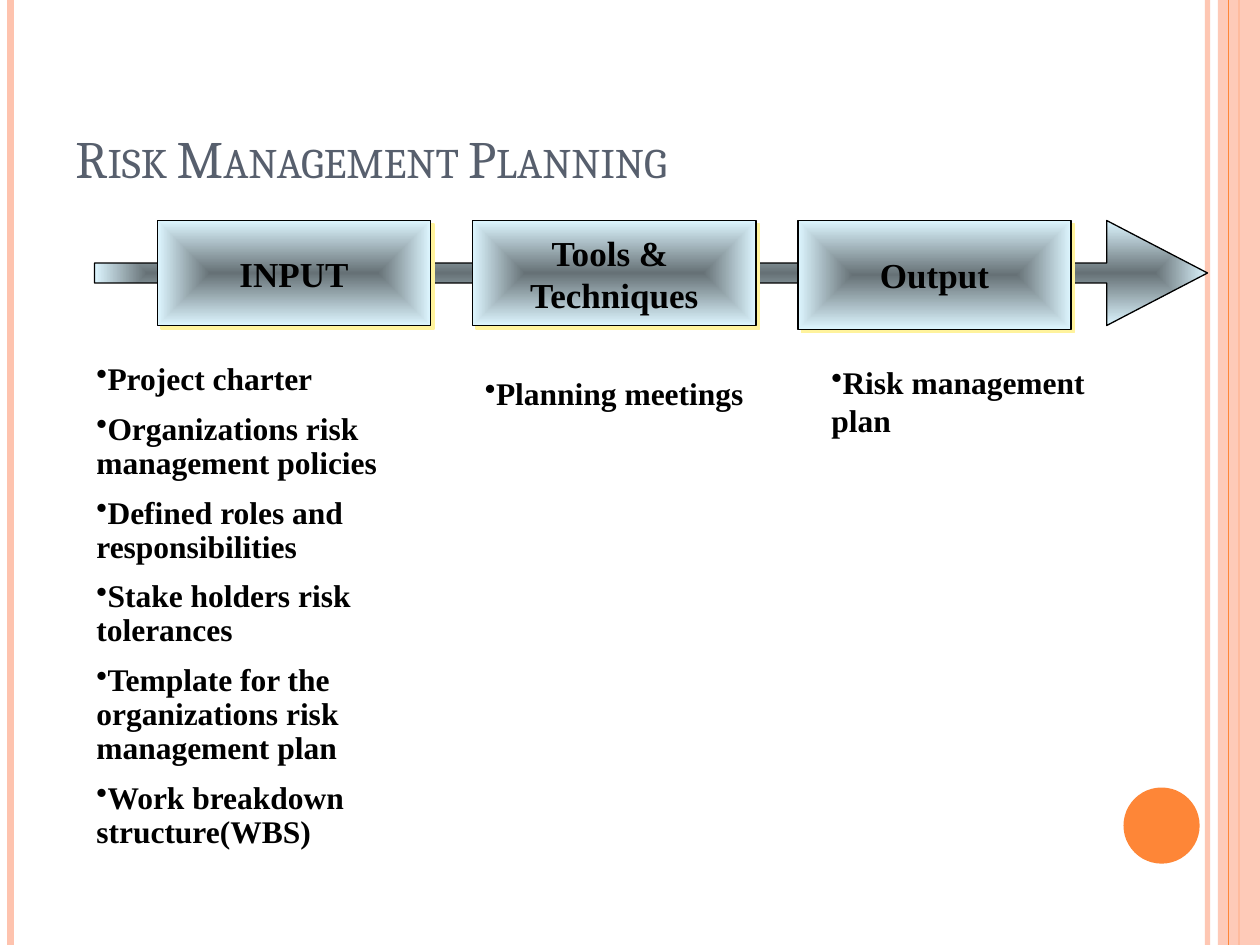
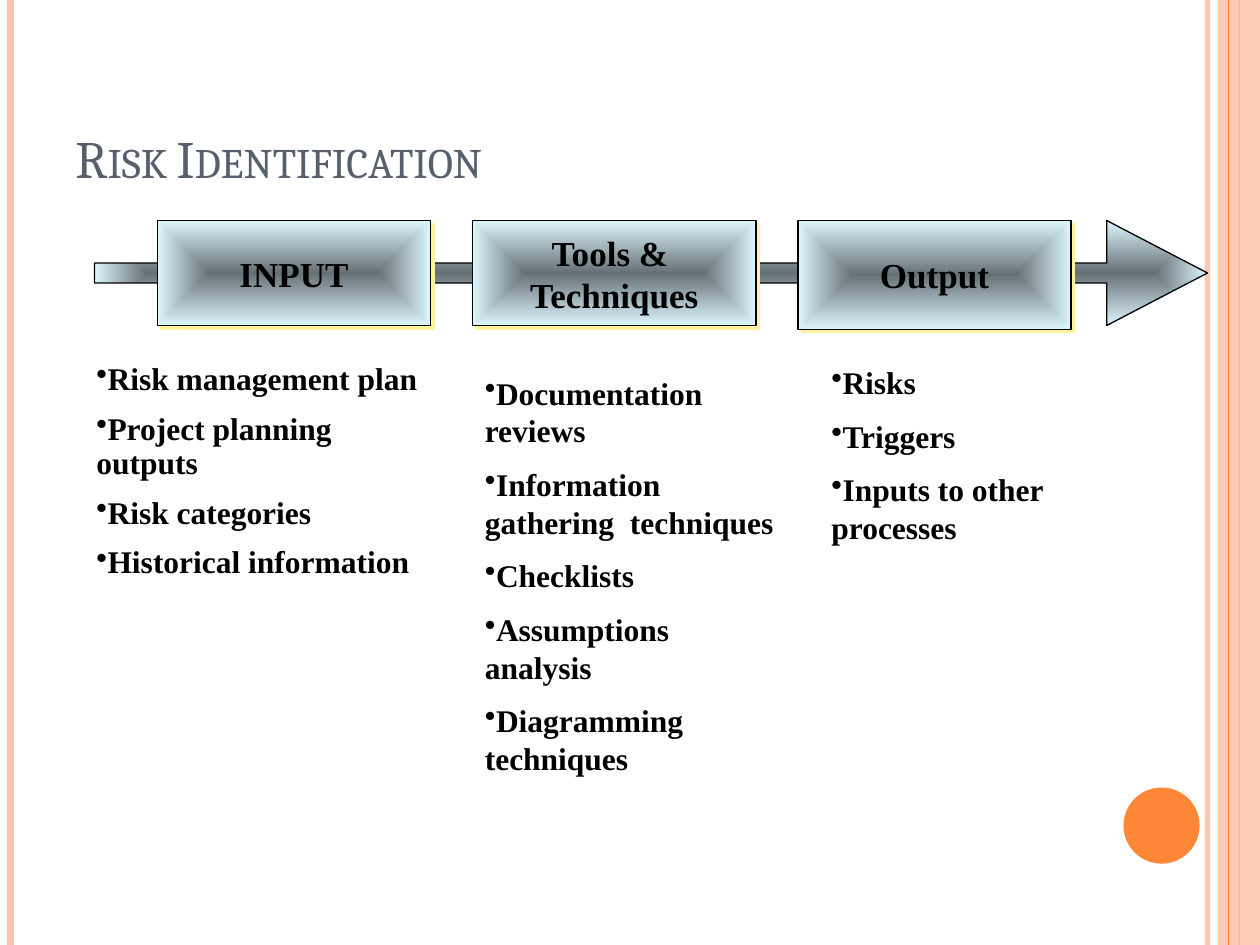
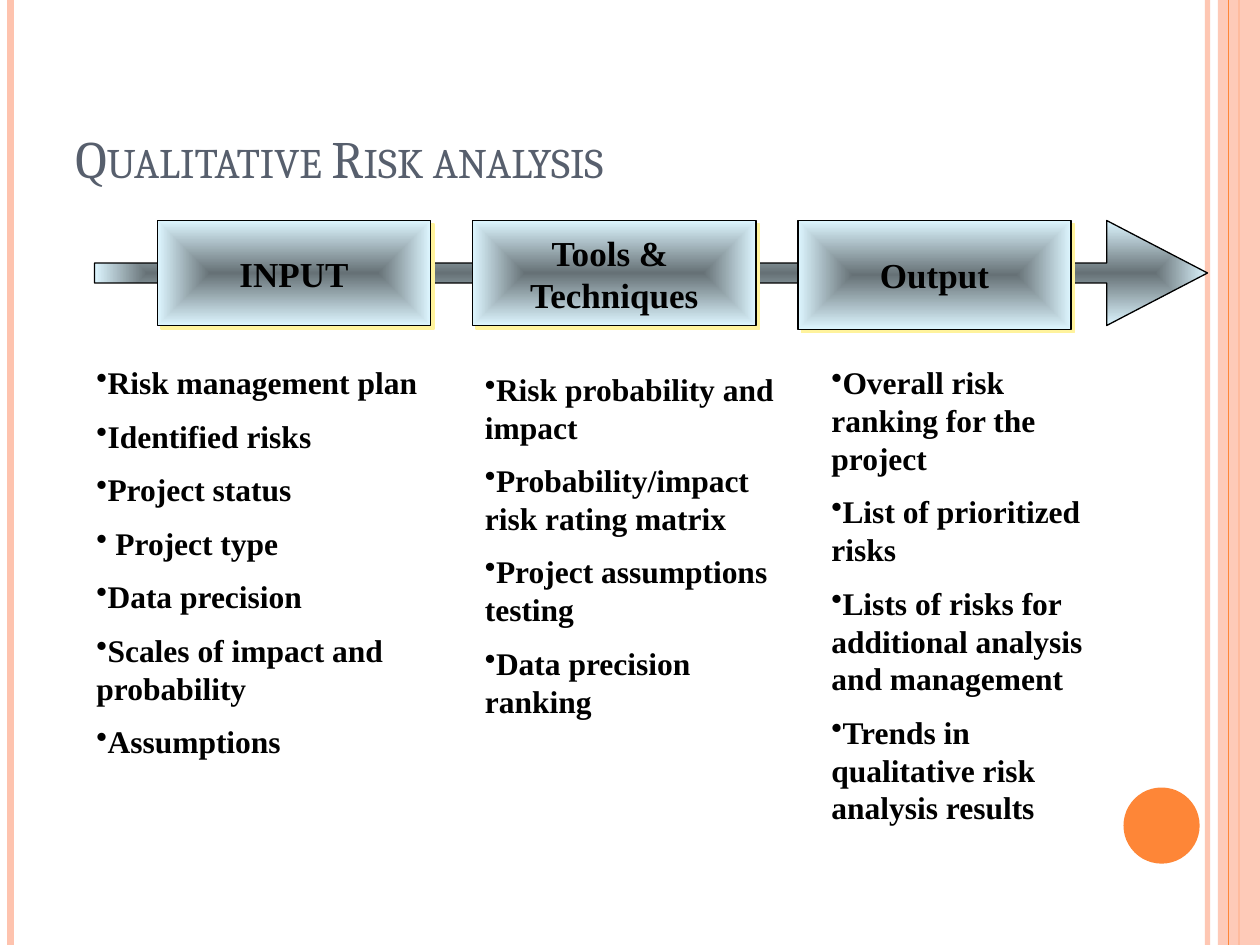
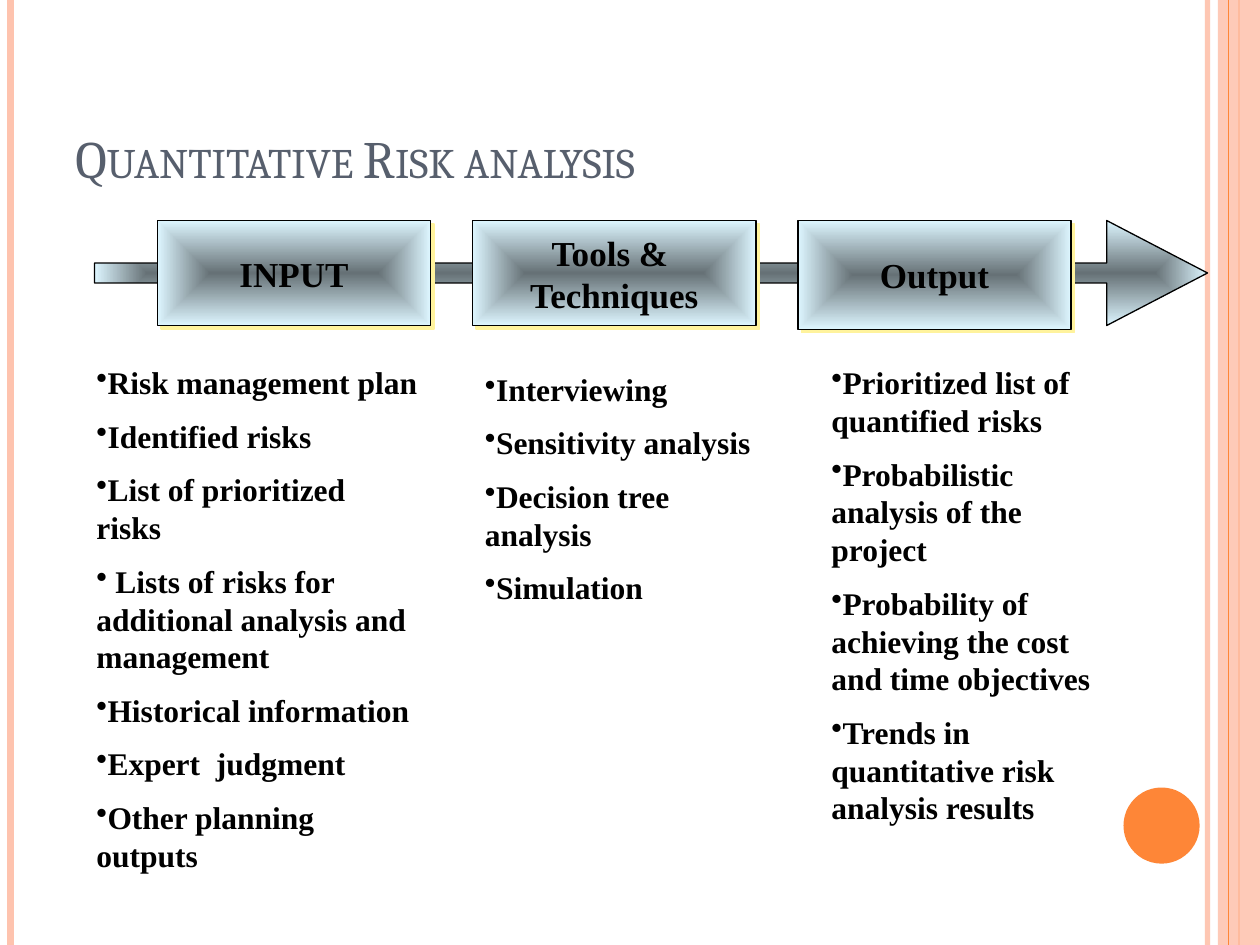
"""Build four risk management slides, each with an input, tools and output flow."""
from lxml import etree
from pptx import Presentation, util as u
from pptx.dml.color import RGBColor
from pptx.enum import shapes, text
from pptx.oxml import ns

PX = 9525
PAGE = (960, 720)
PEACH, ORANGE, SLATE = "FEC3AE", "FE8637", "575F6D"
BLACK, ICE, YELLOW = "000000", "DDF6FF", "FFF39D"
SERIF = "Times New Roman"
TITLE_FONT = {"name": "Cambria", "size": u.Pt(30), "color": SLATE}
STAGE_FONT = {"name": SERIF, "size": u.Pt(20), "bold": True, "color": BLACK}
ITEM_FONT = {"name": SERIF, "size": u.Pt(18), "bold": True, "color": BLACK}

RULES_BEHIND = [(920, PEACH, 3, 93), (8, PEACH, 4.5, 100), (944, ORANGE, 1.5, 100)]
RULES_FRONT = [(936, ORANGE, 0.75, 100)]
BAND = (928, 0, 32, 720)
DISC = (856, 600, 58, 58)
ARROW = (72, 168, 848, 80)
TITLE = (48, 29, 784, 120)
STAGES = [
    (["INPUT"], (120, 168, 208, 80)),
    (["Tools & ", "Techniques"], (360, 168, 216, 80)),
    (["Output"], (608, 168, 208, 83)),
]
COLUMNS = [(64, 264), (360, 240), (624, 232)]

SLIDES = [
    {
        "title": "Risk Management Planning",
        "input_spacing": 0.9,
        "tops": (272, 280, 272),
        "heights": (395, 38, 154),
        "items": [
            ["Project charter", "Organizations risk management policies",
             "Defined roles and responsibilities", "Stake holders risk tolerances",
             "Template for the organizations risk management plan",
             "Work breakdown structure(WBS)"],
            ["Planning meetings"],
            ["Risk management plan"],
        ],
    },
    {
        "title": "Risk Identification",
        "input_spacing": 0.9,
        "tops": (272, 280, 272),
        "heights": (224, 371, 241),
        "items": [
            ["Risk management plan", "Project planning outputs", "Risk categories",
             "Historical information"],
            ["Documentation  reviews", "Information gathering  techniques", "Checklists",
             "Assumptions analysis", "Diagramming techniques"],
            ["Risks", "Triggers", "Inputs to other processes"],
        ],
    },
    {
        "title": "Qualitative Risk analysis",
        "input_spacing": None,
        "tops": (272, 277, 272),
        "heights": (371, 284, 371),
        "items": [
            ["Risk management plan", "Identified risks", "Project status", " Project type",
             "Data precision", "Scales of impact and probability", "Assumptions"],
            ["Risk probability and impact", "Probability/impact  risk rating matrix",
             "Project assumptions testing", "Data precision ranking"],
            ["Overall risk ranking for the project", "List of prioritized risks",
             "Lists of risks for additional analysis and management",
             "Trends in qualitative risk analysis results"],
        ],
    },
    {
        "title": "Quantitative Risk analysis",
        "input_spacing": None,
        "tops": (272, 277, 272),
        "heights": (430, 198, 371),
        "items": [
            ["Risk management plan", "Identified risks", "List of prioritized risks",
             " Lists of risks for additional analysis and management",
             "Historical information", "Expert  judgment", "Other planning outputs"],
            ["Interviewing", "Sensitivity analysis", "Decision tree analysis", "Simulation"],
            ["Prioritized list of quantified risks", "Probabilistic analysis of the project",
             "Probability of achieving the cost and time objectives",
             "Trends in quantitative risk analysis results"],
        ],
    },
]


def rgb(code):
    return RGBColor.from_string(code)


def emu(lengths):
    return [length * PX for length in lengths]


def add(parent, tag, **attributes):
    values = {key: str(value) for key, value in attributes.items()}
    return etree.SubElement(parent, ns.qn(tag), values)


def set_alpha(fill_owner, percent):
    if percent < 100:
        color = next(fill_owner.iter(ns.qn("a:srgbClr")))
        add(color, "a:alpha", val=percent * 1000)


def set_font(font, formats):
    for key, value in formats.items():
        if key == "color":
            font.color.rgb = rgb(value)
        else:
            setattr(font, key, value)


def draw_shape(slide, kind, box, color=None):
    shape = slide.shapes.add_shape(kind, *emu(box))
    shape.shadow.inherit = False
    if color:
        shape.fill.solid()
        shape.fill.fore_color.rgb = rgb(color)
        shape.line.fill.background()
    return shape


def draw_rules(slide, rules):
    for x, color, width, alpha in rules:
        rule = slide.shapes.add_connector(
            shapes.MSO_CONNECTOR.STRAIGHT, *emu((x, 0, x, PAGE[1])))
        rule.line.color.rgb = rgb(color)
        rule.line.width = u.Pt(width)
        set_alpha(rule.line._ln, alpha)
        add(rule._element.spPr, "a:effectLst")


def draw_frame(slide):
    draw_rules(slide, RULES_BEHIND)
    band = draw_shape(slide, shapes.MSO_SHAPE.RECTANGLE, BAND, PEACH)
    set_alpha(band._element.spPr, 87)
    draw_rules(slide, RULES_FRONT)
    draw_shape(slide, shapes.MSO_SHAPE.OVAL, DISC, ORANGE)


def draw_metal(slide, kind, box, path_kind):
    shape = draw_shape(slide, kind, box)
    shape.fill.gradient()
    gradient = shape._element.spPr.find(ns.qn("a:gradFill"))
    for child in list(gradient):
        gradient.remove(child)
    stops = add(gradient, "a:gsLst")
    dark, _ = [add(add(stops, "a:gs", pos=pos), "a:srgbClr", val=ICE) for pos in (0, 100000)]
    add(dark, "a:gamma")
    add(dark, "a:shade", val=46275)
    add(dark, "a:invGamma")
    center = dict.fromkeys("ltrb", 50000)
    add(add(gradient, "a:path", path=path_kind), "a:fillToRect", **center)
    shape.line.color.rgb = rgb(BLACK)
    shape.line.width = u.Pt(0.75)
    return shape


def draw_stage(slide, lines, box):
    stage = draw_metal(slide, shapes.MSO_SHAPE.RECTANGLE, box, "shape")
    effects = stage._element.spPr.find(ns.qn("a:effectLst"))
    shadow = add(effects, "a:outerShdw", dist=u.Pt(2.8), dir=45 * 60000,
                 algn="ctr", rotWithShape=0)
    add(shadow, "a:srgbClr", val=YELLOW)
    frame = stage.text_frame
    frame.word_wrap = False
    frame.vertical_anchor = text.MSO_ANCHOR.MIDDLE
    frame.text = "\n".join(lines)
    for paragraph in frame.paragraphs:
        paragraph.alignment = text.PP_ALIGN.CENTER
        set_font(paragraph.runs[0].font, STAGE_FONT)


def draw_flow(slide):
    arrow = draw_metal(slide, shapes.MSO_SHAPE.RIGHT_ARROW, ARROW, "rect")
    arrow.adjustments[0], arrow.adjustments[1] = 0.19, 0.96
    for lines, box in STAGES:
        draw_stage(slide, lines, box)


def draw_title(slide, title):
    frame = slide.shapes.add_textbox(*emu(TITLE)).text_frame
    frame.word_wrap = True
    frame.vertical_anchor = text.MSO_ANCHOR.BOTTOM
    frame.text = title
    font = frame.paragraphs[0].runs[0].font
    set_font(font, TITLE_FONT)
    font._element.set("cap", "small")


def draw_items(slide, items, box, spacing):
    frame = slide.shapes.add_textbox(*emu(box)).text_frame
    frame.word_wrap = True
    frame.auto_size = text.MSO_AUTO_SIZE.SHAPE_TO_FIT_TEXT
    frame.text = "\n".join(items)
    for index, paragraph in enumerate(frame.paragraphs):
        paragraph.line_spacing = spacing
        if index:
            paragraph.space_before = u.Pt(9)
        add(paragraph._p.get_or_add_pPr(), "a:buChar", char="•")
        set_font(paragraph.runs[0].font, ITEM_FONT)


def main():
    deck = Presentation()
    deck.slide_width, deck.slide_height = emu(PAGE)
    for content in SLIDES:
        slide = deck.slides.add_slide(deck.slide_layouts[6])
        draw_frame(slide)
        draw_flow(slide)
        draw_title(slide, content["title"])
        spacings = (content["input_spacing"], None, None)
        columns = zip(COLUMNS, content["tops"], content["heights"], content["items"], spacings)
        for (left, width), top, height, items, spacing in columns:
            draw_items(slide, items, (left, top, width, height), spacing)
    deck.save("out.pptx")


if __name__ == "__main__":
    main()
